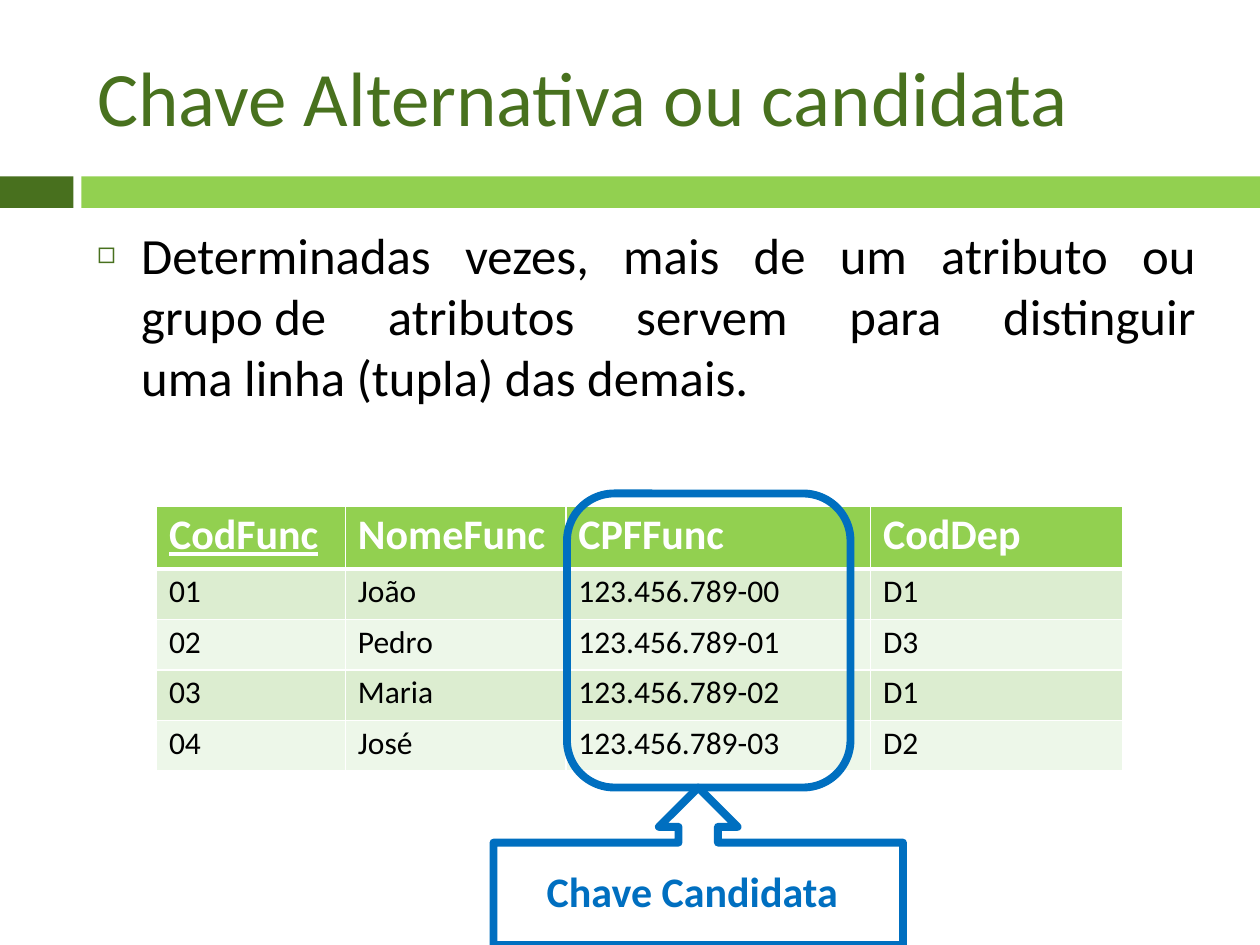
from lxml import etree
from pptx import Presentation
from pptx.dml.color import RGBColor
from pptx.enum.shapes import MSO_SHAPE
from pptx.enum.text import MSO_ANCHOR, MSO_AUTO_SIZE, PP_ALIGN
from pptx.oxml.ns import qn
from pptx.util import Inches, Pt

RECT = MSO_SHAPE.RECTANGLE
ROUNDED = MSO_SHAPE.ROUNDED_RECTANGLE
CALLOUT = MSO_SHAPE.UP_ARROW_CALLOUT
TOP = MSO_ANCHOR.TOP
LEFT, JUSTIFY = PP_ALIGN.LEFT, PP_ALIGN.JUSTIFY
NO_FIT = MSO_AUTO_SIZE.NONE

WIDTH, HEIGHT = Inches(10), Inches(7.5)
UNIT = WIDTH / 120
FONT = "Calibri"
NBSP = "\u00a0"
COLORS = {
    "dark": "48701E",
    "title": "48711E",
    "green": "92D050",
    "band": "DCEDD0",
    "light": "EDF7E9",
    "blue": "006FC0",
    "white": "FFFFFF",
    "black": "000000",
}
HEADERS = ["CodFunc", "NomeFunc", "CPFFunc", "CodDep"]
EMPLOYEES = [
    ["01", "João", "123.456.789-00", "D1"],
    ["02", "Pedro", "123.456.789-01", "D3"],
    ["03", "Maria", "123.456.789-02", "D1"],
    ["04", "José", "123.456.789-03", "D2"],
]


def rgb(name):
    return RGBColor.from_string(COLORS[name])


def grid(*units):
    return [round(u * UNIT) for u in units]


def place(sp, box):
    sp.left, sp.top, sp.width, sp.height = box


def add_run(p, text, size, color, bold=False, underline=False):
    r = p.add_run()
    r.text = text
    f = r.font
    f.name, f.size, f.bold, f.underline = FONT, Pt(size), bold, underline
    f.color.rgb = rgb(color)


def prepare_text(sp, space, align=LEFT):
    tf = sp.text_frame
    tf.word_wrap = True
    tf.auto_size = NO_FIT
    tf.vertical_anchor = TOP
    tf.margin_left = tf.margin_right = tf.margin_bottom = 0
    tf.margin_top = Inches(0.01)
    p = tf.paragraphs[0]
    p.alignment = align
    p.space_before = Pt(space)
    return p


def add_bullet(p, char, color, percent, indent):
    pPr = p._p.get_or_add_pPr()
    pPr.set("marL", str(indent))
    pPr.set("indent", str(-indent))
    clr = etree.SubElement(pPr, qn("a:buClr"))
    etree.SubElement(clr, qn("a:srgbClr"), val=COLORS[color])
    etree.SubElement(pPr, qn("a:buSzPct"), val=str(percent * 1000))
    etree.SubElement(pPr, qn("a:buFont"), typeface=FONT)
    etree.SubElement(pPr, qn("a:buChar"), char=char)


def add_figure(s, kind, box, fill=None, line=None):
    sp = s.shapes.add_shape(kind, *box)
    sp.shadow.inherit = False
    if fill:
        sp.fill.solid()
        sp.fill.fore_color.rgb = rgb(fill)
    else:
        sp.fill.background()
    if line:
        sp.line.color.rgb = rgb(line)
        sp.line.width = Pt(4.5)
    else:
        sp.line.fill.background()


def build_band(s, box):
    left, top, width, height = box
    square, gap = grid(7, 0.75)
    start = square + gap
    add_figure(s, RECT, (left, top, square, height), fill="dark")
    add_figure(s, RECT, (left + start, top, width - start, height), fill="green")


def build_title(s, box):
    title = s.shapes.title
    place(title, box)
    p = prepare_text(title, 1.1)
    add_run(p, "Chave Alternativa ou candidata", 44, "title")


def build_body(s, box):
    body = s.placeholders[1]
    place(body, box)
    p = prepare_text(body, 1.1, JUSTIFY)
    add_bullet(p, "◻", "dark", 60, Inches(0.35))
    add_run(p, f"Determinadas vezes, mais de um atributo ou grupo{NBSP}de atributos "
               f"servem para distinguir uma{NBSP}linha (tupla) das demais.", 29, "black")


def set_borders(cell, widths):
    tcPr = cell._tc.get_or_add_tcPr()
    for i, (side, width) in enumerate(widths.items()):
        ln = etree.Element(qn(f"a:ln{side}"), w=str(Pt(width)))
        fill = etree.SubElement(ln, qn("a:solidFill"))
        etree.SubElement(fill, qn("a:srgbClr"), val=COLORS["white"])
        tcPr.insert(i, ln)


def build_table(s, box):
    rows = [HEADERS] + EMPLOYEES
    table = s.shapes.add_table(len(rows), len(HEADERS), *box).table
    for column, share in zip(table.columns, (1.5, 1.75, 2.42, 2)):
        column.width = round(box[2] * share / 7.67)
    for i, values in enumerate(rows):
        head = i == 0
        table.rows[i].height = round(box[3] * (5 if head else 4) / 21)
        fill = "green" if head else "band" if i % 2 else "light"
        for j, value in enumerate(values):
            cell = table.cell(i, j)
            cell.fill.solid()
            cell.fill.fore_color.rgb = rgb(fill)
            cell.margin_left = Inches(0.1)
            cell.margin_right = cell.margin_bottom = 0
            cell.margin_top = Inches(0.03)
            p = cell.text_frame.paragraphs[0]
            p.space_before = Pt(2.4 if head else 2.7)
            add_run(p, value, 24 if head else 18, "white" if head else "black",
                    bold=head, underline=head and j == 0)
            set_borders(cell, {"L": 1, "R": 1, "T": 3 if i == 1 else 1,
                               "B": 3 if head else 1})


def build_callout(s, box):
    left, top, width, height = box
    add_figure(s, CALLOUT, box, line="blue")
    label = s.shapes.add_textbox(left + round(width * 0.13), top + round(height * 0.49),
                                 round(width * 0.75), round(height * 0.34))
    p = prepare_text(label, 1)
    add_run(p, "Chave Candidata", 24, "blue", bold=True)


def main():
    prs = Presentation()
    prs.slide_width, prs.slide_height = WIDTH, HEIGHT
    s = prs.slides.add_slide(prs.slide_layouts[1])
    build_band(s, grid(0, 16.8, 120, 3))
    build_title(s, grid(9.25, 4.6, 94, 9.2))
    build_body(s, grid(9.25, 21.2, 104.75, 17.8))
    build_table(s, grid(14.9, 48.2, 92, 25.2))
    add_figure(s, ROUNDED, grid(54, 47, 27, 28), line="blue")
    build_callout(s, grid(47, 75, 39, 15))
    prs.save("out.pptx")


if __name__ == "__main__":
    main()
